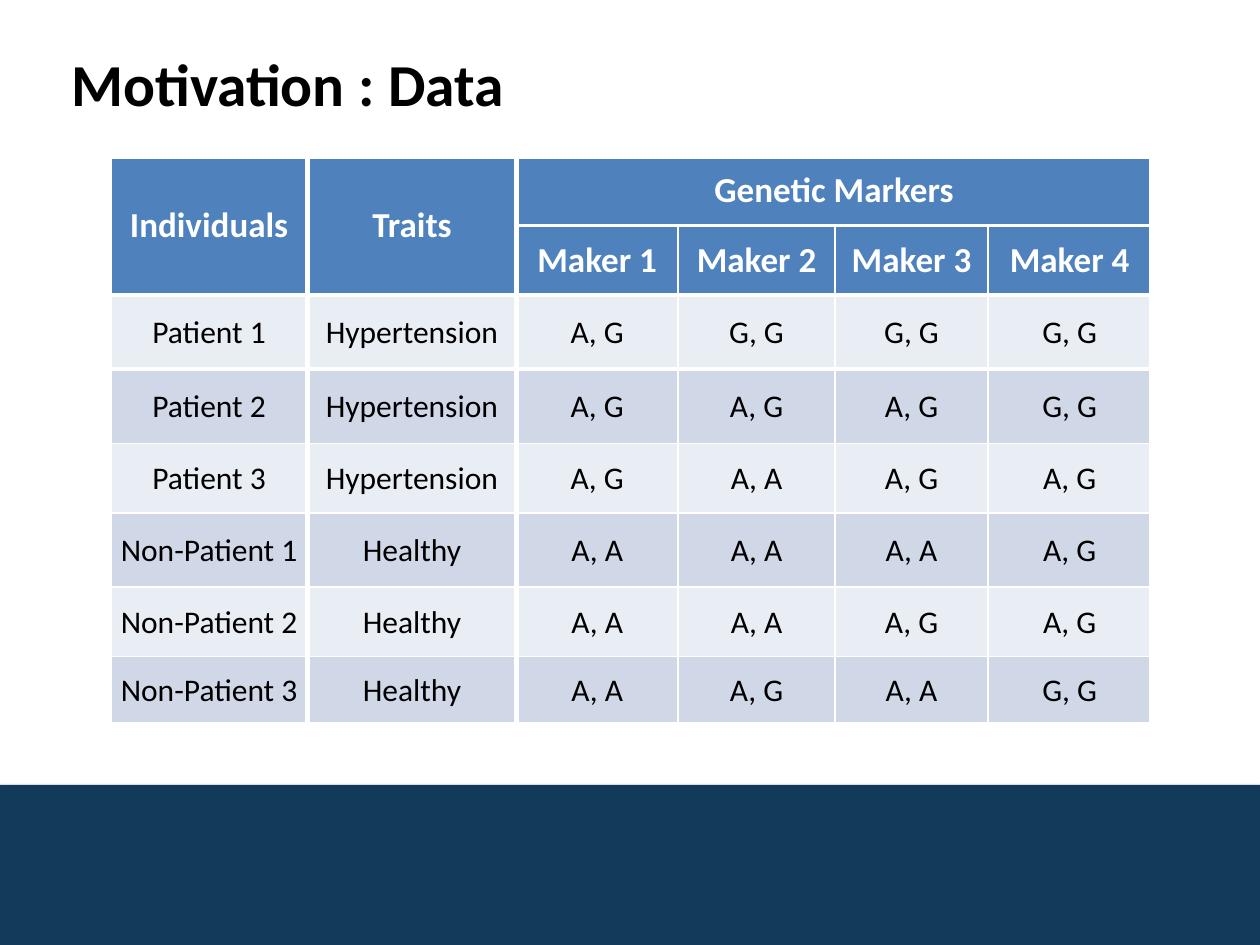
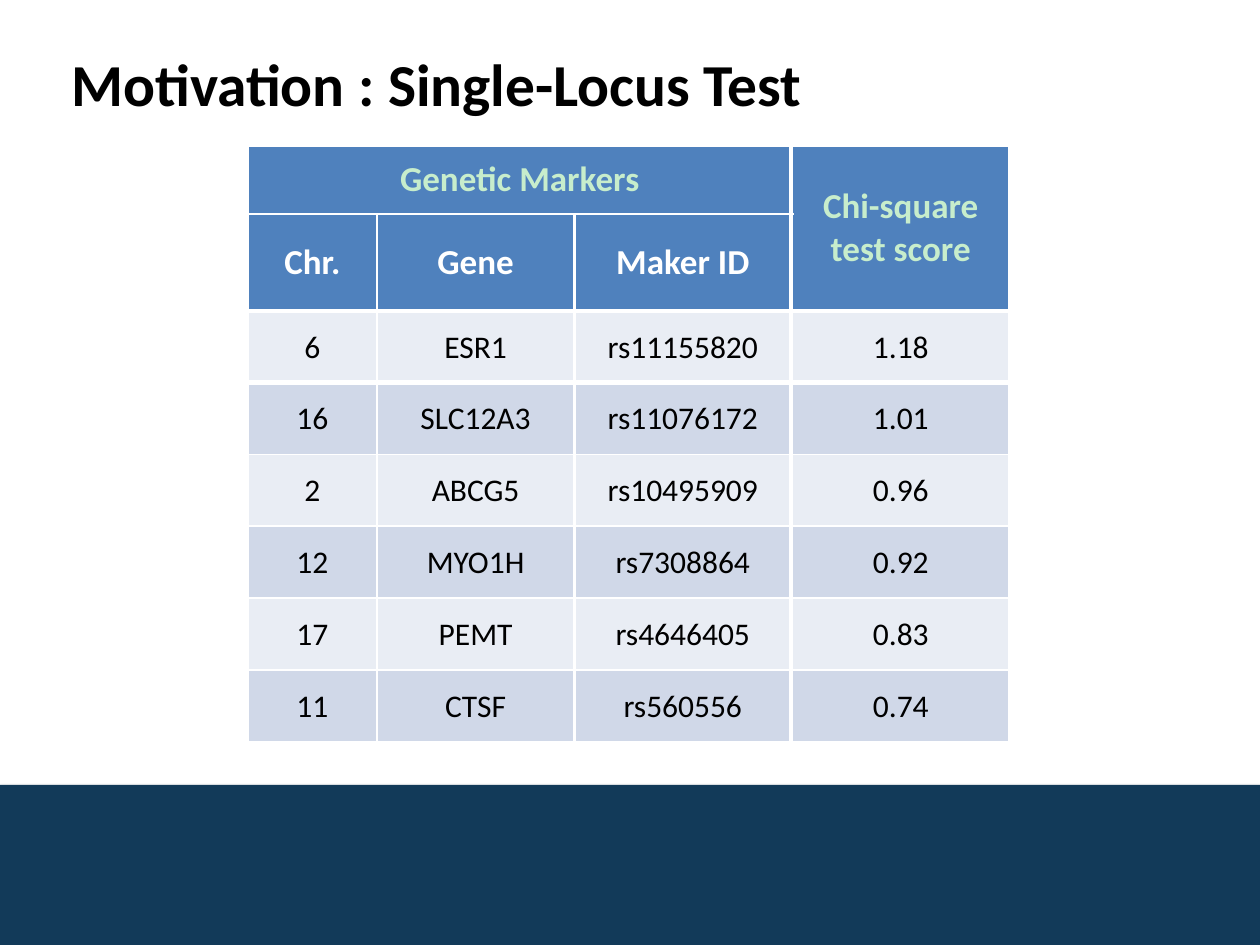
from lxml import etree
from pptx import Presentation
from pptx.dml.color import RGBColor
from pptx.enum import shapes, text
from pptx.oxml import ns
from pptx.util import Inches, Pt

FONT = "Calibri"
WHITE = RGBColor(0xFF, 0xFF, 0xFF)
BLACK = RGBColor(0x00, 0x00, 0x00)
NAVY = RGBColor(0x12, 0x3A, 0x59)
HEADER_BLUE = RGBColor(0x4F, 0x81, 0xBD)
PALE_GREEN = RGBColor(0xC7, 0xED, 0xCC)
BODY_FILLS = (RGBColor(0xE9, 0xED, 0xF4), RGBColor(0xD0, 0xD8, 0xE8))

HEADER_ROWS = 2
THICK, MEDIUM, THIN = 3, 1.5, 1
ROW_LINES = [THICK, MEDIUM, THICK, THICK] + [THIN] * 5

MARKER_ROWS = [
    ["Individuals", "Traits", "Genetic Markers", "", "", ""],
    ["", "", "Maker 1", "Maker 2", "Maker 3", "Maker 4"],
    ["Patient 1", "Hypertension", "A, G", "G, G", "G, G", "G, G"],
    ["Patient 2", "Hypertension", "A, G", "A, G", "A, G", "G, G"],
    ["Patient 3", "Hypertension", "A, G", "A, A", "A, G", "A, G"],
    ["Non-Patient 1", "Healthy", "A, A", "A, A", "A, A", "A, G"],
    ["Non-Patient 2", "Healthy", "A, A", "A, A", "A, G", "A, G"],
    ["Non-Patient 3", "Healthy", "A, A", "A, G", "A, A", "G, G"],
]
SCORE_ROWS = [
    ["Genetic Markers", "", "", "Chi-square\ntest score"],
    ["Chr.", "Gene", "Maker ID", ""],
    ["6", "ESR1", "rs11155820", "1.18"],
    ["16", "SLC12A3", "rs11076172", "1.01"],
    ["2", "ABCG5", "rs10495909", "0.96"],
    ["12", "MYO1H", "rs7308864", "0.92"],
    ["17", "PEMT", "rs4646405", "0.83"],
    ["11", "CTSF", "rs560556", "0.74"],
]


def format_runs(text_frame, size, color, bold):
    for paragraph in text_frame.paragraphs:
        for run in paragraph.runs:
            run.font.name = FONT
            run.font.size = Pt(size)
            run.font.bold = bold
            run.font.color.rgb = color


def add_soft_shadow(shape):
    effects = etree.SubElement(shape._element.spPr, ns.qn("a:effectLst"))
    shadow = etree.SubElement(
        effects, ns.qn("a:outerShdw"), blurRad=str(Pt(3.1)), dist=str(Pt(1.8)),
        dir="5400000", rotWithShape="0")
    color = etree.SubElement(shadow, ns.qn("a:srgbClr"), val=str(BLACK))
    etree.SubElement(color, ns.qn("a:alpha"), val="35000")


def add_footer_band(slide):
    band = slide.shapes.add_shape(
        shapes.MSO_SHAPE.RECTANGLE, 0, Inches(6.23), Inches(10), Inches(1.27))
    band.fill.solid()
    band.fill.fore_color.rgb = NAVY
    band.line.fill.background()
    add_soft_shadow(band)


def add_title(slide, title):
    box = slide.shapes.add_textbox(Inches(0.47), Inches(0.27), Inches(9), Inches(0.73))
    text_frame = box.text_frame
    text_frame.word_wrap = True
    text_frame.vertical_anchor = text.MSO_ANCHOR.MIDDLE
    text_frame.margin_bottom = 0
    text_frame.text = title
    format_runs(text_frame, 34, BLACK, True)


def add_titled_slide(presentation, title):
    slide = presentation.slides.add_slide(presentation.slide_layouts[6])
    add_footer_band(slide)
    add_title(slide, title)
    return slide


def set_cell_borders(cell, widths):
    """Draw white borders; widths are left, right, top, bottom in points."""
    properties = cell._tc.get_or_add_tcPr()
    for index, (side, width) in enumerate(zip("LRTB", widths)):
        line = etree.Element(ns.qn(f"a:ln{side}"), w=str(Pt(width)))
        fill = etree.SubElement(line, ns.qn("a:solidFill"))
        etree.SubElement(fill, ns.qn("a:srgbClr"), val=str(WHITE))
        properties.insert(index, line)


def format_cell(cell, content, is_header, fill, color):
    cell.text = content
    cell.vertical_anchor = text.MSO_ANCHOR.MIDDLE
    cell.fill.solid()
    cell.fill.fore_color.rgb = fill
    if not is_header:
        cell.margin_left = cell.margin_right = cell.margin_top = Inches(0.01)
        cell.margin_bottom = 0
    for paragraph in cell.text_frame.paragraphs:
        paragraph.alignment = text.PP_ALIGN.CENTER
    format_runs(cell.text_frame, 20 if is_header else 18, color, is_header)


def add_data_table(slide, left, top, rows, widths, heights, column_lines, merges,
                   merged_color):
    """Add a table with two header rows; merges are (first cell, last cell) pairs."""
    table = slide.shapes.add_table(
        len(rows), len(widths), Inches(left), Inches(top),
        Inches(sum(widths)), Inches(sum(heights))).table
    for column, width in zip(table.columns, widths):
        column.width = Inches(width)
    for row, height in zip(table.rows, heights):
        row.height = Inches(height)
    for first, last in merges:
        table.cell(*first).merge(table.cell(*last))

    for row_index, row in enumerate(rows):
        is_header = row_index < HEADER_ROWS
        fill = HEADER_BLUE if is_header else BODY_FILLS[row_index % 2]
        for column_index, content in enumerate(row):
            cell = table.cell(row_index, column_index)
            header_color = merged_color if cell.is_merge_origin else WHITE
            format_cell(cell, content, is_header, fill,
                        header_color if is_header else BLACK)
            set_cell_borders(cell, (
                column_lines[column_index],
                column_lines[column_index + cell.span_width],
                ROW_LINES[row_index],
                ROW_LINES[row_index + cell.span_height]))


def main():
    presentation = Presentation()
    presentation.slide_width = Inches(10)
    presentation.slide_height = Inches(7.5)

    data_slide = add_titled_slide(presentation, "Motivation : Data")
    add_data_table(
        data_slide, 0.88, 1.24, MARKER_ROWS,
        widths=[1.56, 1.66, 1.28, 1.25, 1.21, 1.3],
        heights=[0.55, 0.55, 0.59, 0.59, 0.55, 0.59, 0.55, 0.53],
        column_lines=[THIN, THICK, THICK, MEDIUM, MEDIUM, MEDIUM, THICK],
        merges=[((0, 0), (1, 0)), ((0, 1), (1, 1)), ((0, 2), (0, 5))],
        merged_color=WHITE)

    test_slide = add_titled_slide(presentation, "Motivation : Single-Locus Test")
    add_data_table(
        test_slide, 1.97, 1.15, SCORE_ROWS,
        widths=[1.02, 1.57, 1.72, 1.74],
        heights=[0.55, 0.61] + [0.57] * 6,
        column_lines=[THIN, MEDIUM, MEDIUM, THICK, THICK],
        merges=[((0, 0), (0, 2)), ((0, 3), (1, 3))],
        merged_color=PALE_GREEN)

    presentation.save("out.pptx")


if __name__ == "__main__":
    main()
